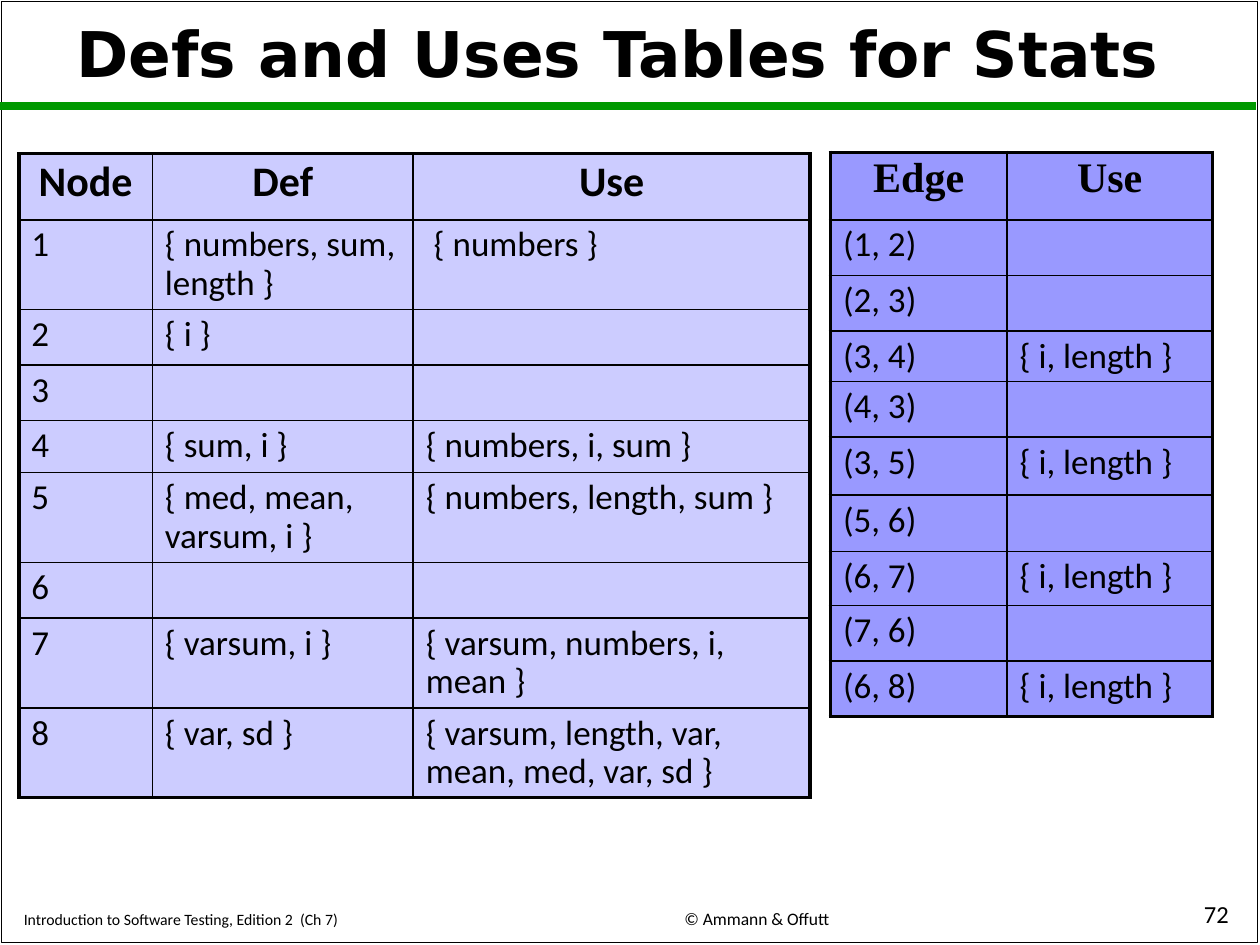
from lxml.etree import SubElement
from pptx import Presentation
from pptx.dml.color import RGBColor
from pptx.enum.shapes import MSO_CONNECTOR as Connector, MSO_SHAPE as Shape
from pptx.enum.text import MSO_ANCHOR as Anchor, PP_ALIGN as Align
from pptx.oxml.ns import qn
from pptx.util import Cm, Pt

COLORS = {"ink": "000000", "rule": "009900", "node": "CCCCFF", "edge": "9999FF"}
BODY_FONT = "Calibri"

TITLE = "Defs and Uses Tables for Stats "

# Footer: text, size, alignment, left, top, width, height (cm)
FOOTER = [
    ("Introduction to Software Testing, Edition 2  (Ch 7)", 9, Align.LEFT, 0.23, 18.08, 10.46, 0.76),
    ("© Ammann & Offutt", 10, Align.CENTER, 11.23, 18.06, 8.05, 0.79),
    ("72", 14, Align.RIGHT, 20.04, 18.03, 4.98, 0.81),
]

# Tables: lengths in cm, first row is the header
TABLES = [
    {
        "fill": "node", "header_font": BODY_FONT, "left": 0.38, "top": 3.1,
        "columns": [2.69, 5.26, 8.0],
        "heights": [1.33, 1.81, 1.12, 1.12, 1.05, 1.81, 1.12, 1.81, 1.81],
        "rows": [
            ("Node", "Def", "Use"),
            ("1", "{ numbers, sum, length }", " { numbers }"),
            ("2", "{ i }", ""),
            ("3", "", ""),
            ("4", "{ sum, i }", "{ numbers, i, sum }"),
            ("5", "{ med, mean, varsum, i }", "{ numbers, length, sum }"),
            ("6", "", ""),
            ("7", "{ varsum, i }", "{ varsum, numbers, i, mean }"),
            ("8", "{ var, sd }", "{ varsum, length, var, mean, med, var, sd }"),
        ],
    },
    {
        "fill": "edge", "header_font": "Times New Roman", "left": 16.74, "top": 3.07,
        "columns": [3.56, 4.14],
        "heights": [1.36, 1.12, 1.12, 1.02, 1.12, 1.17, 1.14, 1.09, 1.12, 1.12],
        "rows": [
            ("Edge", "Use"),
            ("(1, 2)", ""),
            ("(2, 3)", ""),
            ("(3, 4)", "{ i, length }"),
            ("(4, 3)", ""),
            ("(3, 5)", "{ i, length }"),
            ("(5, 6)", ""),
            ("(6, 7)", "{ i, length }"),
            ("(7, 6)", ""),
            ("(6, 8)", "{ i, length }"),
        ],
    },
]


def color(name):
    return RGBColor.from_string(COLORS[name])


def write(frame, text, size, font=BODY_FONT, bold=False, align=Align.LEFT, spacing=None):
    para = frame.paragraphs[0]
    para.alignment = align
    para.line_spacing = spacing
    if not text:
        para.font.size = Pt(size)
        para.font.name = font
        return
    span = para.add_run()
    span.text = text
    span.font.size = Pt(size)
    span.font.name = font
    span.font.bold = bold
    span.font.color.rgb = color("ink")


def set_borders(cell, widths):
    """Draw the left, right, top and bottom borders, in that order."""
    properties = cell._tc.get_or_add_tcPr()
    for side, width in zip("LRTB", widths):
        line = SubElement(properties, qn(f"a:ln{side}"), w=str(Pt(width)))
        fill = SubElement(line, qn("a:solidFill"))
        SubElement(fill, qn("a:srgbClr"), val=COLORS["ink"])


def add_grid(page, data):
    rows, columns, heights = data["rows"], data["columns"], data["heights"]
    table = page.shapes.add_table(
        len(rows), len(columns), Cm(data["left"]), Cm(data["top"]),
        Cm(sum(columns)), Cm(sum(heights))).table
    table.first_row = table.horz_banding = False
    for column, width in zip(table.columns, columns):
        column.width = Cm(width)
    for row, height in zip(table.rows, heights):
        row.height = Cm(height)

    last_row, last_column = len(rows) - 1, len(columns) - 1
    for r, texts in enumerate(rows):
        for c, text in enumerate(texts):
            cell = table.cell(r, c)
            outer = (c == 0, c == last_column, r == 0, r == last_row)
            set_borders(cell, [2.25 if edge else 1 for edge in outer])
            cell.fill.solid()
            cell.fill.fore_color.rgb = color(data["fill"])
            if r == 0:
                write(cell.text_frame, text, 24, data["header_font"], True, Align.CENTER, 0.9)
            else:
                write(cell.text_frame, text, 20, spacing=0.9)


def main():
    deck = Presentation()
    deck.slide_width, deck.slide_height = Cm(25.4), Cm(19.05)
    page = deck.slides.add_slide(deck.slide_layouts[5])

    # Page frame
    frame = page.shapes.add_shape(Shape.RECTANGLE, Cm(0.03), Cm(0.03), Cm(25.32), Cm(18.97))
    frame.shadow.inherit = False
    frame.fill.background()
    frame.line.color.rgb = color("ink")
    frame.line.width = Pt(1)

    # Rule under the title
    rule = page.shapes.add_connector(Connector.STRAIGHT, 0, Cm(2.13), Cm(25.32), Cm(2.13))
    rule.line.color.rgb = color("rule")
    rule.line.width = Pt(4.5)
    SubElement(rule._element.spPr, qn("a:effectLst"))

    # Footer
    for text, size, align, *place in FOOTER:
        box = page.shapes.add_textbox(*map(Cm, place))
        box.text_frame.word_wrap = True
        box.text_frame.vertical_anchor = Anchor.BOTTOM
        write(box.text_frame, text, size, align=align)

    # Title
    title = page.shapes.title
    title.left, title.top, title.width, title.height = map(Cm, (0.23, 0.28, 24.89, 1.75))
    title.text_frame.vertical_anchor = Anchor.MIDDLE
    write(title.text_frame, TITLE, 36, "DejaVu Sans", True, Align.CENTER, 0.9)

    # Node and edge tables
    for data in TABLES:
        add_grid(page, data)

    deck.save("out.pptx")


if __name__ == "__main__":
    main()
